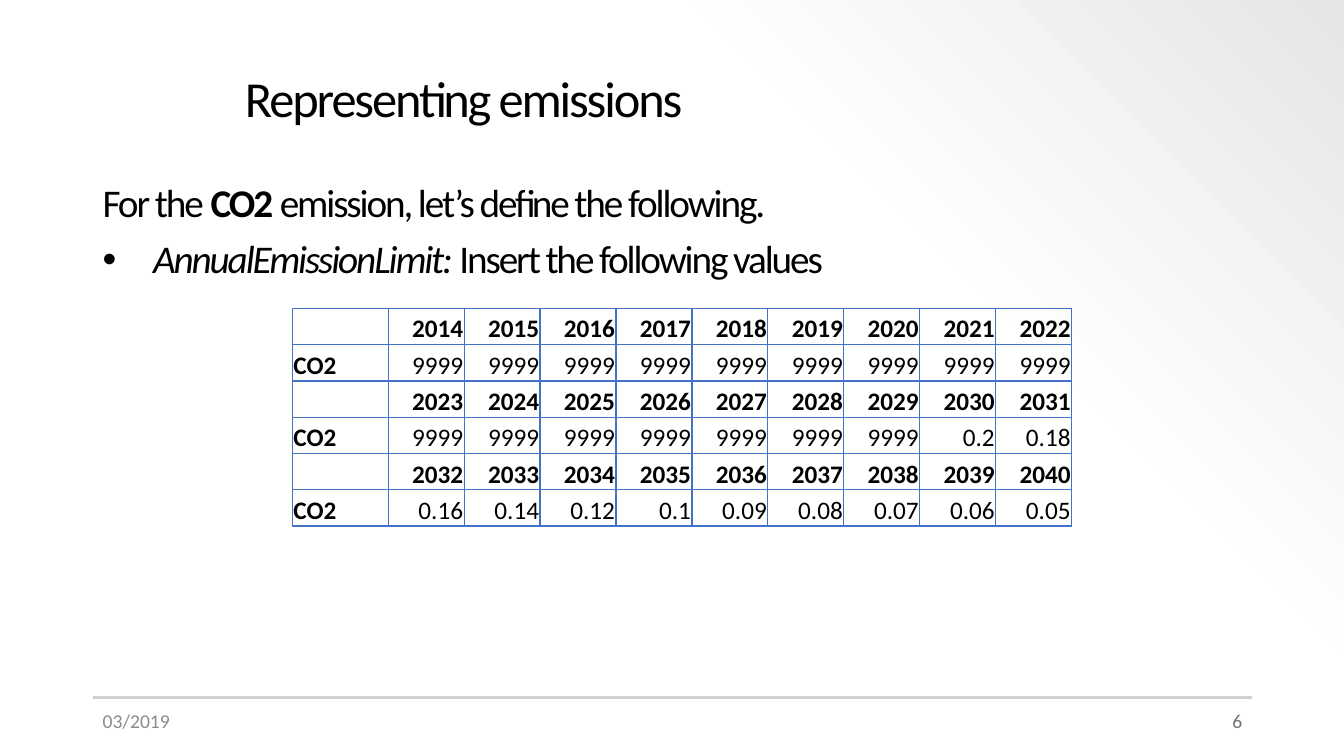
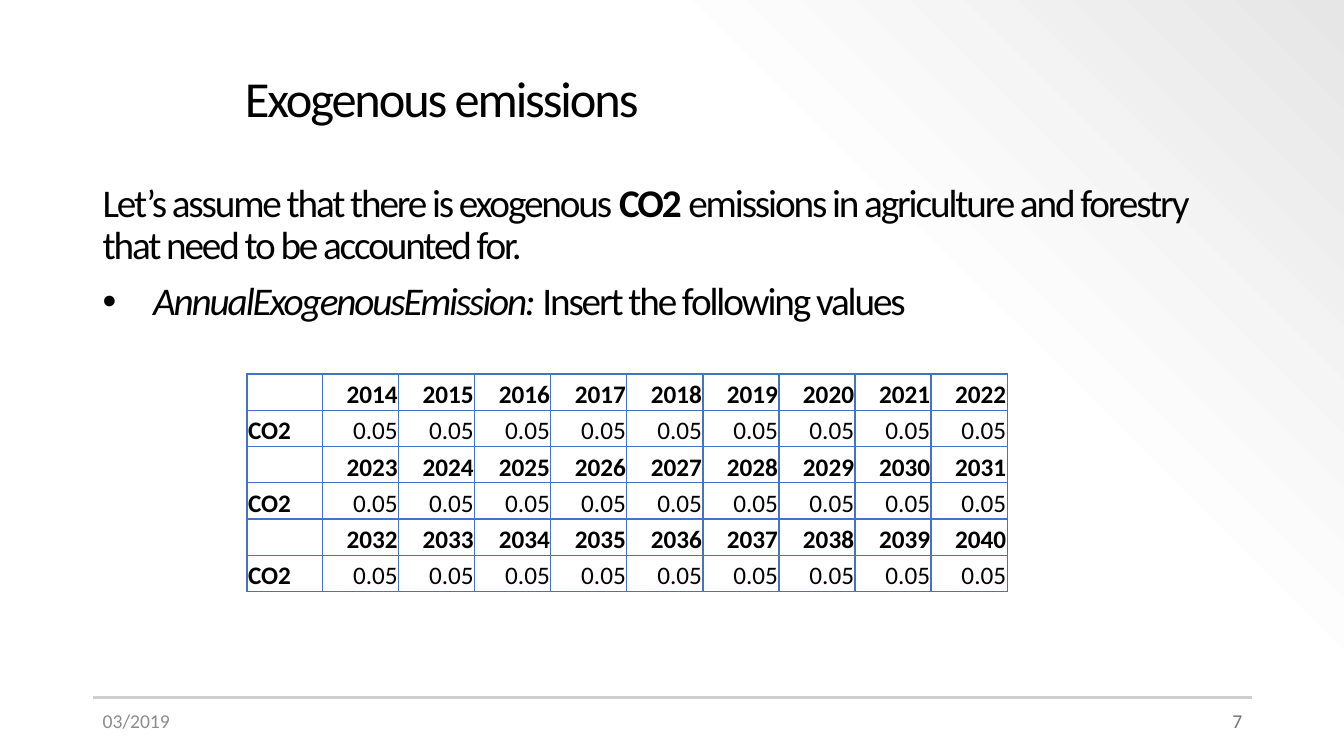
from lxml import etree
from pptx import Presentation
from pptx import util as u
from pptx.dml import color
from pptx.enum import shapes, text
from pptx.oxml import ns

FONT = "Calibri"
COLORS = {
    "ink": "000000",
    "border": "4472C4",
    "rule": "D0CECE",
    "date": "8C8C8C",
    "number": "767171",
}
BACKGROUND = [(0, "FFFFFF", 100), (69, "FDFDFD", 100), (100, "E7E6E6", 50)]
BACKGROUND_ANGLE = 315
DATE = "03/2019"
MARGIN, CONTENT_WIDTH = 0.92, 11.5
FOOTER_TOP, FOOTER_WIDTH, FOOTER_HEIGHT = 6.95, 1.3, 0.4
RULE_TOP = 6.92
ROW_HEIGHT = 0.36
FIRST_YEAR, YEARS_PER_ROW = 2014, 9

SLIDES = [
    {
        "number": "6",
        "title": "Representing emissions",
        "intro": [("For the ", ""), ("CO2 ", "bold"),
                  ("emission, let’s define the following.", "")],
        "bullet": [("AnnualEmissionLimit: ", "italic"),
                   ("Insert the following values", "")],
        "table": {"left": 2.9, "top": 3.06, "width": 7.73, "label_width": 0.95},
        "values": ["9999"] * 16 + ["0.2", "0.18", "0.16", "0.14", "0.12", "0.1",
                                   "0.09", "0.08", "0.07", "0.06", "0.05"],
    },
    {
        "number": "7",
        "title": "Exogenous emissions",
        "intro": [("Let’s assume that there is exogenous ", ""), ("CO2", "bold"),
                  (" emissions in agriculture and forestry that need to be accounted for.", "")],
        "bullet": [("AnnualExogenousEmission: ", "italic"),
                   ("Insert the following values", "")],
        "table": {"left": 2.45, "top": 3.71, "width": 7.54, "label_width": 0.75},
        "values": ["0.05"] * 27,
    },
]


def add_xml(parent, tag, **attributes):
    return etree.SubElement(parent, ns.qn(tag), attributes)


def add_run(para, words, size, ink="ink", style="", spacing=None):
    span = para.add_run()
    span.text = words
    span.font.name = FONT
    span.font.size = u.Pt(size)
    span.font.bold = style == "bold"
    span.font.italic = style == "italic"
    span.font.color.rgb = color.RGBColor.from_string(COLORS[ink])
    if spacing is not None:
        span._r.get_or_add_rPr().set("spc", str(round(spacing * 100)))


def add_text_box(page, left, top, width, height):
    box = page.shapes.add_textbox(*map(u.Inches, (left, top, width, height)))
    box.text_frame.word_wrap = True
    return box.text_frame


def set_background(master):
    master.background.fill.gradient()
    gradient = master.element.find(".//" + ns.qn("a:gradFill"))
    for child in list(gradient):
        gradient.remove(child)
    stops = add_xml(gradient, "a:gsLst")
    for position, value, opacity in BACKGROUND:
        stop = add_xml(stops, "a:gs", pos=str(position * 1000))
        tone = add_xml(stop, "a:srgbClr", val=value)
        if opacity < 100:
            add_xml(tone, "a:alpha", val=str(opacity * 1000))
    add_xml(gradient, "a:lin", ang=str(BACKGROUND_ANGLE * 60000), scaled="0")


def add_title(page, words):
    title = page.shapes.title
    title.left, title.top, title.width, title.height = map(
        u.Inches, (2.33, 0.4, 10.08, 1.2))
    frame = title.text_frame
    frame.auto_size = text.MSO_AUTO_SIZE.NONE
    frame.vertical_anchor = text.MSO_ANCHOR.MIDDLE
    para = frame.paragraphs[0]
    para.alignment = text.PP_ALIGN.LEFT
    para.line_spacing = 0.9
    add_run(para, words, 36, spacing=-1.5)


def add_body(page, intro, bullet):
    frame = add_text_box(page, MARGIN, 1.77, CONTENT_WIDTH, 4.98)
    intro_para, bullet_para = frame.paragraphs[0], frame.add_paragraph()
    properties = bullet_para._p.get_or_add_pPr()
    properties.set("marL", str(u.Inches(0.5)))
    properties.set("indent", str(-u.Inches(0.5)))
    add_xml(properties, "a:buFont", typeface="Arial")
    add_xml(properties, "a:buChar", char="•")
    bullet_para.space_before = u.Pt(10)
    for para, spans in ((intro_para, intro), (bullet_para, bullet)):
        para.line_spacing = 0.9
        for words, style in spans:
            add_run(para, words, 28, style=style, spacing=-1.5)


def format_cell(cell):
    cell.margin_left = cell.margin_right = cell.margin_top = u.Inches(0.01)
    cell.margin_bottom = 0
    cell.vertical_anchor = text.MSO_ANCHOR.BOTTOM
    properties = cell._tc.get_or_add_tcPr()
    for side in ("a:lnL", "a:lnR", "a:lnT", "a:lnB"):
        line = add_xml(properties, side, w=str(u.Pt(1)))
        add_xml(add_xml(line, "a:solidFill"), "a:srgbClr", val=COLORS["border"])
    cell.fill.background()


def table_rows(values):
    for start in range(0, len(values), YEARS_PER_ROW):
        years = range(FIRST_YEAR + start, FIRST_YEAR + start + YEARS_PER_ROW)
        yield [""] + [str(year) for year in years]
        yield ["CO2"] + values[start:start + YEARS_PER_ROW]


def add_emission_table(page, place, values):
    rows = list(table_rows(values))
    table = page.shapes.add_table(
        len(rows), YEARS_PER_ROW + 1, u.Inches(place["left"]), u.Inches(place["top"]),
        u.Inches(place["width"]), u.Inches(ROW_HEIGHT * len(rows))).table
    table.first_row = table.horz_banding = False
    year_width = (place["width"] - place["label_width"]) / YEARS_PER_ROW
    for index, column in enumerate(table.columns):
        column.width = u.Inches(year_width if index else place["label_width"])
    for row_index, row in enumerate(rows):
        table.rows[row_index].height = u.Inches(ROW_HEIGHT)
        for column_index, words in enumerate(row):
            cell = table.cell(row_index, column_index)
            format_cell(cell)
            if not words:
                continue
            heading = row_index % 2 == 0 or column_index == 0
            para = cell.text_frame.paragraphs[0]
            para.alignment = text.PP_ALIGN.RIGHT if column_index else text.PP_ALIGN.LEFT
            add_run(para, words, 18, style="bold" if heading else "")


def add_footer(page, number):
    right = MARGIN + CONTENT_WIDTH
    rule = page.shapes.add_connector(
        shapes.MSO_CONNECTOR.STRAIGHT,
        *map(u.Inches, (MARGIN, RULE_TOP, right, RULE_TOP)))
    rule.line.color.rgb = color.RGBColor.from_string(COLORS["rule"])
    rule.line.width = u.Pt(1.5)
    add_xml(rule._element.spPr, "a:effectLst")
    for left, words, ink, alignment in (
            (MARGIN, DATE, "date", text.PP_ALIGN.LEFT),
            (right - FOOTER_WIDTH, number, "number", text.PP_ALIGN.RIGHT)):
        frame = add_text_box(page, left, FOOTER_TOP, FOOTER_WIDTH, FOOTER_HEIGHT)
        frame.vertical_anchor = text.MSO_ANCHOR.MIDDLE
        para = frame.paragraphs[0]
        para.alignment = alignment
        add_run(para, words, 14, ink)


def main():
    deck = Presentation()
    deck.slide_width, deck.slide_height = u.Inches(13.33), u.Inches(7.5)
    set_background(deck.slide_master)
    for content in SLIDES:
        page = deck.slides.add_slide(deck.slide_layouts[5])
        add_title(page, content["title"])
        add_body(page, content["intro"], content["bullet"])
        add_emission_table(page, content["table"], content["values"])
        add_footer(page, content["number"])
    deck.save("out.pptx")


if __name__ == "__main__":
    main()
